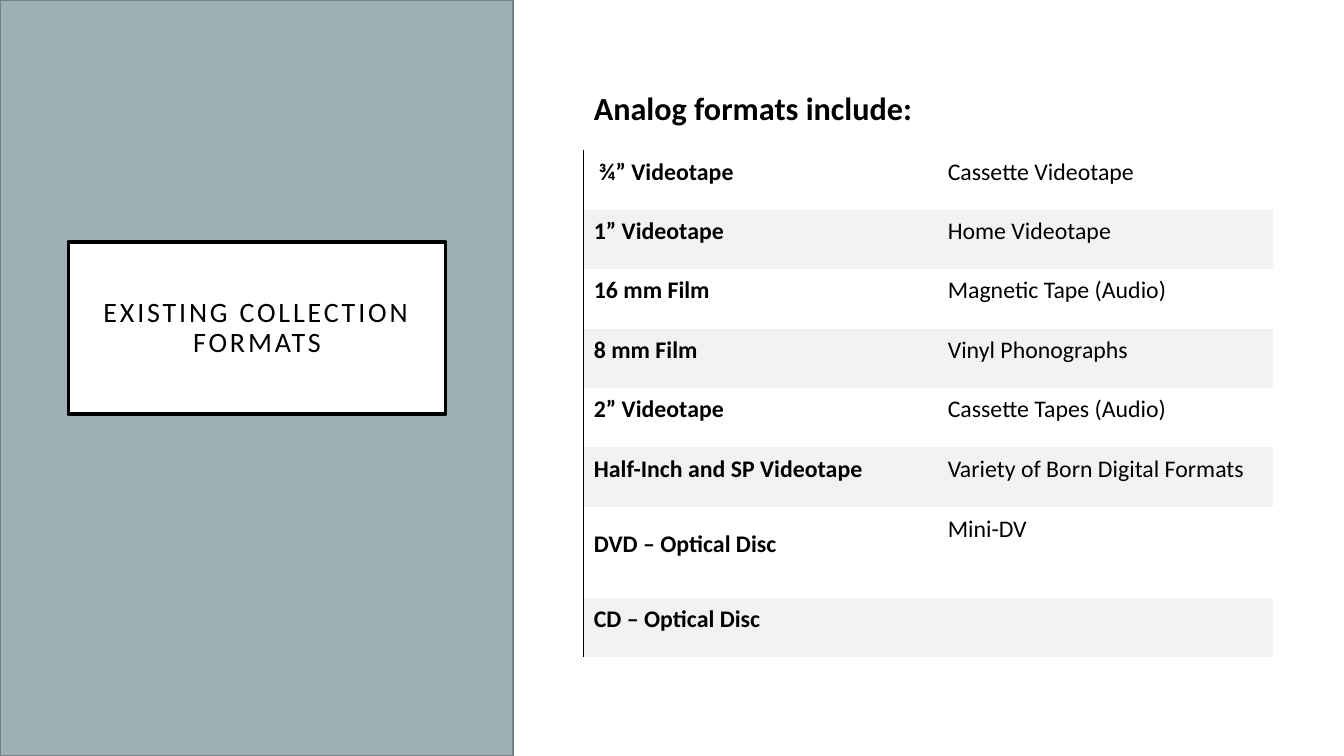
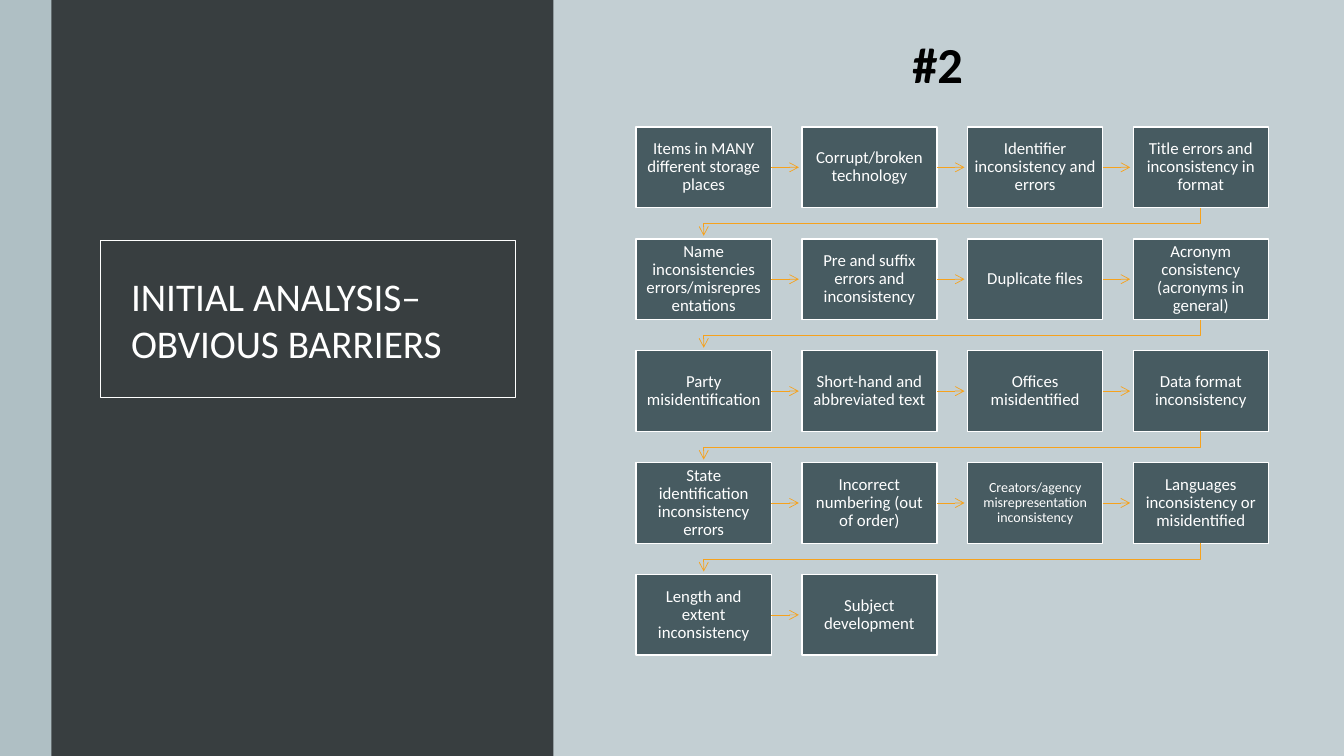
from lxml import etree
from pptx import Presentation
from pptx.dml.color import RGBColor
from pptx.enum.shapes import MSO_CONNECTOR, MSO_SHAPE
from pptx.enum.text import MSO_ANCHOR, PP_ALIGN
from pptx.oxml.ns import qn
from pptx.util import Inches, Pt

RECT = MSO_SHAPE.RECTANGLE
STRAIGHT = MSO_CONNECTOR.STRAIGHT
TOP, MIDDLE, BOTTOM = MSO_ANCHOR.TOP, MSO_ANCHOR.MIDDLE, MSO_ANCHOR.BOTTOM
LEFT, CENTER = PP_ALIGN.LEFT, PP_ALIGN.CENTER

FONT = "Calibri"
BLACK, WHITE, GREY = "000000", "FFFFFF", "F2F2F2"
SAGE, EDGE, PALE, MIST = "9BAFB5", "738186", "AFBFC4", "C3CFD3"
DARK, SLATE, AMBER = "383E40", "475B61", "F6A21D"
NO_STYLE = "{2D5ABB26-0587-4C30-8999-92F81FD0307C}"
rgb = RGBColor.from_string


def add_box(slide, x, y, w, h, fill=None, line=None, width=1, pad=(0.1, 0.05)):
    box = slide.shapes.add_shape(RECT, Inches(x), Inches(y), Inches(w), Inches(h))
    box.shadow.inherit = False
    if fill:
        box.fill.solid()
        box.fill.fore_color.rgb = rgb(fill)
    else:
        box.fill.background()
    if line:
        box.line.color.rgb = rgb(line)
        box.line.width = Pt(width)
    else:
        box.line.fill.background()
    frame = box.text_frame
    frame.word_wrap = True
    frame.vertical_anchor = MIDDLE
    frame.margin_left = frame.margin_right = Inches(pad[0])
    frame.margin_top = frame.margin_bottom = Inches(pad[1])
    return box


def write(frame, text, size, color, bold=False, align=LEFT, space=1.0):
    frame.text = text
    para = frame.paragraphs[0]
    para.alignment = align
    para.line_spacing = space
    font = para.runs[0].font
    font.name, font.size, font.bold = FONT, Pt(size), bold
    font.color.rgb = rgb(color)


deck = Presentation()
deck.slide_width, deck.slide_height = Inches(13.33), Inches(7.5)
blank = deck.slide_layouts[6]

slide = deck.slides.add_slide(blank)
rows = [
    ("Analog formats include:", ""),
    ("¾” Videotape", "Cassette Videotape"),
    ("1” Videotape", "Home Videotape"),
    ("16 mm Film", "Magnetic Tape (Audio)"),
    ("8 mm Film", "Vinyl Phonographs"),
    ("2” Videotape", "Cassette Tapes (Audio)"),
    ("Half-Inch and SP Videotape", "Variety of Born Digital Formats"),
    ("DVD – Optical Disc", "Mini-DV"),
    ("CD – Optical Disc", ""),
]
holder = slide.shapes.add_table(
    len(rows), 2, Inches(5.79), Inches(0.8), Inches(6.84), Inches(5.73))
table = holder.table
table.first_row = table.horz_banding = False
holder.element.find(".//" + qn("a:tableStyleId")).text = NO_STYLE
table.columns[0].width, table.columns[1].width = Inches(3.51), Inches(3.33)
for r, texts in enumerate(rows):
    table.rows[r].height = Inches({0: 0.69, 7: 0.9}.get(r, 0.59))
    for c, text in enumerate(texts):
        cell = table.cell(r, c)
        cell.margin_left, cell.margin_right = Inches(0.1), Inches(0.09)
        cell.margin_top, cell.margin_bottom = Inches(0.03), Inches(0.21)
        cell.vertical_anchor = MIDDLE if r else BOTTOM
        if r and r % 2 == 0:
            cell.fill.solid()
            cell.fill.fore_color.rgb = rgb(GREY)
        else:
            cell.fill.background()
        if text:
            write(cell.text_frame, text, 17 if r else 23, BLACK, c == 0, space=1.07)
        if r and c == 0:
            edge = etree.Element(qn("a:lnL"), w=str(Pt(0.75)))
            fill = etree.SubElement(edge, qn("a:solidFill"))
            etree.SubElement(fill, qn("a:srgbClr"), val=BLACK)
            cell._tc.tcPr.insert(0, edge)
table.cell(0, 0).merge(table.cell(0, 1))
table.cell(1, 0).margin_left = Inches(0.15)
table.cell(7, 1).vertical_anchor = TOP
table.cell(7, 1).margin_top = Inches(0.06)

add_box(slide, 0, 0, 5.09, 7.5, SAGE, EDGE)
title = add_box(slide, 0.68, 2.4, 3.74, 1.71, WHITE, BLACK, 2.5, (0.3, 0.2))
write(title.text_frame, "EXISTING COLLECTION FORMATS", 20, BLACK, align=CENTER, space=0.9)
title.text_frame.paragraphs[0].runs[0].font._element.set("spc", "200")

slide = deck.slides.add_slide(blank)
slide.background.fill.solid()
slide.background.fill.fore_color.rgb = rgb(MIST)
add_box(slide, 0, 0, 0.51, 7.5, PALE)
add_box(slide, 0.51, 0, 4.98, 7.5, DARK)

steps = [
    "Items in MANY different storage places",
    "Corrupt/broken technology",
    "Identifier inconsistency and errors",
    "Title errors and inconsistency in format",
    "Name inconsistencies errors/misrepresentations",
    "Pre and suffix errors and inconsistency",
    "Duplicate files",
    "Acronym consistency (acronyms in general)",
    "Party misidentification",
    "Short-hand and abbreviated text",
    "Offices misidentified",
    "Data format inconsistency",
    "State identification inconsistency errors",
    "Incorrect numbering (out of order)",
    "Creators/agency misrepresentation inconsistency",
    "Languages inconsistency or misidentified",
    "Length and extent inconsistency",
    "Subject development",
]
COLS, SMALL = 4, 14
x0, y0, wide, high = 6.31, 1.26, 1.34, 0.8
dx, dy = (11.24 - x0) / (COLS - 1), 1.11
links = []
for i, text in enumerate(steps):
    row, col = divmod(i, COLS)
    x, y = x0 + col * dx, y0 + row * dy
    size, pad = (10, (0.1, 0)) if i == SMALL else (12, (0.07, 0.07))
    box = add_box(slide, x, y, wide, high, SLATE, WHITE, 1, pad)
    write(box.text_frame, text, size, WHITE, align=CENTER, space=0.9)
    if i == len(steps) - 1:
        break
    if col < COLS - 1:
        mid = Inches(y + high / 2)
        link = slide.shapes.add_connector(
            STRAIGHT, Inches(x + wide), mid, Inches(x + dx - 0.03), mid)
        link.begin_connect(box, 3)
    else:
        start, end = Inches(x + wide / 2), Inches(x0 + wide / 2)
        low = y + high
        turn = Inches(low + 0.16)
        path = slide.shapes.build_freeform(start, Inches(low))
        path.add_line_segments(
            [(start, turn), (end, turn), (end, Inches(y + dy - 0.03))], close=False)
        link = path.convert_to_shape()
        link.fill.background()
    links.append(link)

for link in links:
    link.line.color.rgb = rgb(AMBER)
    link.line.width = Pt(0.5)
    props = link.element.spPr
    etree.SubElement(props.find(qn("a:ln")), qn("a:tailEnd"), type="arrow")
    etree.SubElement(props, qn("a:effectLst"))

title = add_box(slide, 1, 2.39, 4.11, 1.55, None, WHITE, 0.75, (0.3, 0.3))
write(title.text_frame, "INITIAL ANALYSIS– OBVIOUS BARRIERS", 28, WHITE)
label = slide.shapes.add_textbox(Inches(8.95), Inches(0.28), Inches(1.48), Inches(0.71))
label.text_frame.word_wrap = True
write(label.text_frame, "#2", 36, BLACK, True)

deck.save("out.pptx")
